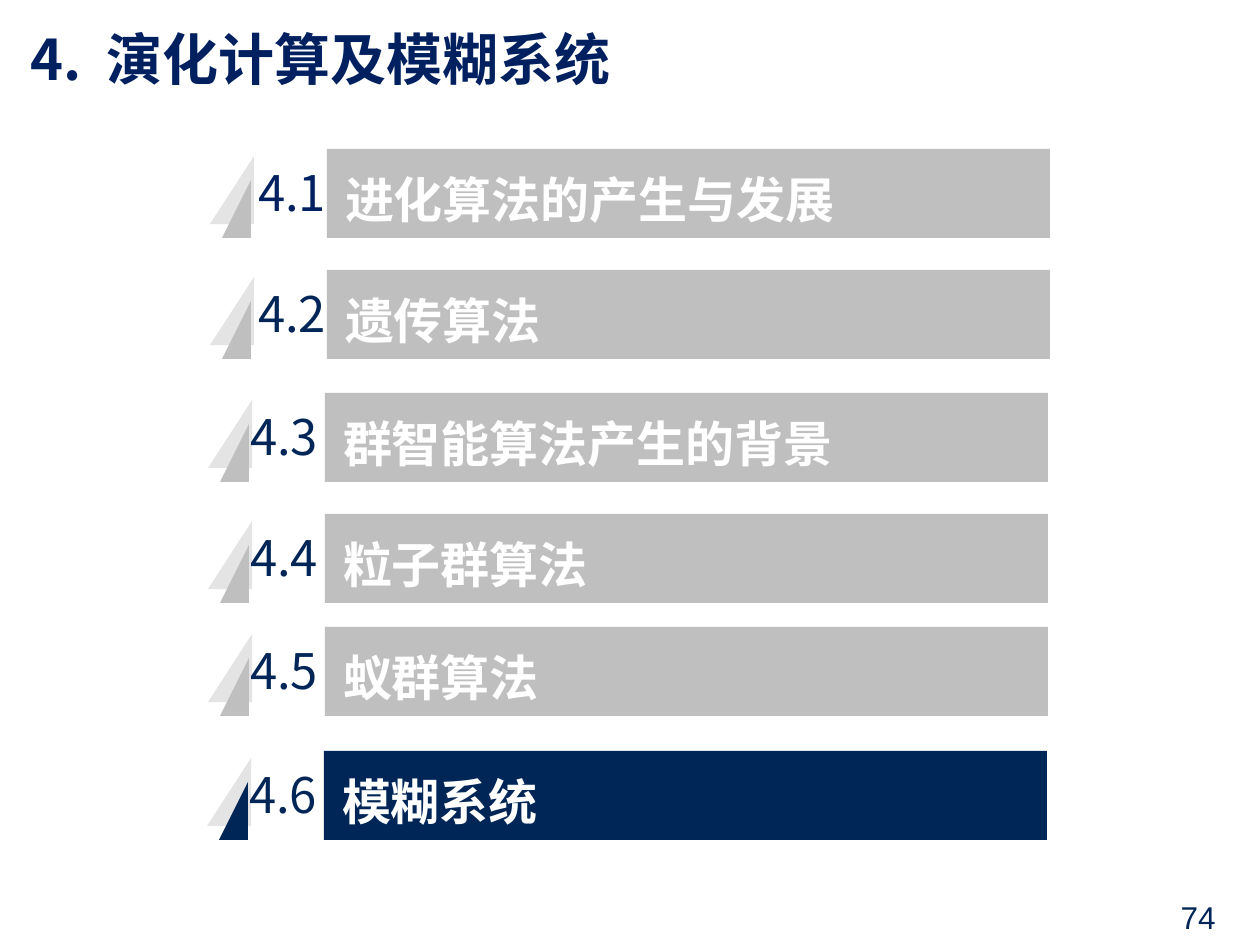
from lxml import etree
from pptx import Presentation
from pptx.dml.color import RGBColor
from pptx.enum import text
from pptx.oxml import ns
from pptx.util import Pt

PX = 914400 / 126
CJK = "Noto Sans CJK SC"
COLORS = {
    "title": "002060",
    "navy": "002657",
    "bar": "BFBFBF",
    "shade": "E4E4E4",
    "white": "FFFFFF",
}
BAR_WIDTH, BAR_HEIGHT = 723, 89

# number, heading, bar left, bar top, number offset, number colour, bar colour
SECTIONS = [
    ("4.1", "进化算法的产生与发展", 327, 149, -76, "title", "bar"),
    ("4.2", "遗传算法", 327, 270, -76, "navy", "bar"),
    ("4.3", "群智能算法产生的背景", 325, 393, -82, "navy", "bar"),
    ("4.4", "粒子群算法", 325, 514, -82, "navy", "bar"),
    ("4.5", "蚁群算法", 325, 627, -82, "navy", "bar"),
    ("4.6", "模糊系统", 324, 751, -82, "navy", "navy"),
]


def px(length):
    return round(length * PX)


def color(name):
    return RGBColor.from_string(COLORS[name])


def place(shape, left, top, width, height):
    shape.left, shape.top = px(left), px(top)
    shape.width, shape.height = px(width), px(height)


def write(text_frame, words, size, color_name, font=CJK, bold=False,
          align=text.PP_ALIGN.LEFT):
    text_frame.text = words
    text_frame.word_wrap = True
    text_frame.auto_size = text.MSO_AUTO_SIZE.NONE
    text_frame.vertical_anchor = text.MSO_ANCHOR.MIDDLE
    paragraph = text_frame.paragraphs[0]
    paragraph.alignment = align
    for run in paragraph.runs:
        run.font.size, run.font.bold, run.font.name = Pt(size), bold, font
        run.font.color.rgb = color(color_name)
        east_asian = etree.SubElement(run.font._element, ns.qn("a:ea"))
        east_asian.set("typeface", font)
    return paragraph


def space_lines(text_frame, left_inset=0):
    """Remove the insets, then set 120% lines and 30% space after."""
    text_frame.margin_left = px(left_inset)
    text_frame.margin_top = text_frame.margin_right = text_frame.margin_bottom = 0
    paragraph = text_frame.paragraphs[0]
    paragraph.line_spacing = 1.2
    after = etree.SubElement(paragraph._p.get_or_add_pPr(), ns.qn("a:spcAft"))
    etree.SubElement(after, ns.qn("a:spcPct")).set("val", "30000")


def add_outline(slide, left, top, contours, fill):
    """Draw closed contours, given relative to left and top, as one shape."""
    contours = [[(left + x, top + y) for x, y in points] for points in contours]
    builder = slide.shapes.build_freeform(*contours[0][0], scale=PX)
    for index, points in enumerate(contours):
        if index:
            builder.move_to(*points[0])
        builder.add_line_segments(points[1:], close=True)
    shape = builder.convert_to_shape()
    shape.shadow.inherit = False
    shape.fill.solid()
    shape.fill.fore_color.rgb = color(fill)
    shape.line.fill.background()
    return shape


def add_title(slide, left, top, width, height):
    title = slide.shapes.title
    place(title, left, top, width, height)
    paragraph = write(title.text_frame, "4.\t演化计算及模糊系统", 32, "title", bold=True)
    # Tab stop between the chapter number and its name
    tabs = etree.SubElement(paragraph._p.get_or_add_pPr(), ns.qn("a:tabLst"))
    etree.SubElement(tabs, ns.qn("a:tab"), pos=str(px(76)), algn="l")


def add_section(slide, number, heading, left, top, number_offset, number_color, fill):
    # Pale triangle behind
    add_outline(slide, left, top, [[(-73, 7), (-73, 75), (-117, 75)]], "shade")

    # Front triangle and heading bar in one outline
    triangle = [(-76, 31), (-76, BAR_HEIGHT), (-105, BAR_HEIGHT)]
    bar = [(0, 0), (BAR_WIDTH, 0), (BAR_WIDTH, BAR_HEIGHT), (0, BAR_HEIGHT)]
    banner = add_outline(slide, left, top, [triangle, bar], fill)
    write(banner.text_frame, heading, 28, "white", bold=True)
    space_lines(banner.text_frame, left_inset=123)

    # Section number
    label = slide.shapes.add_textbox(0, 0, 0, 0)
    place(label, left + number_offset, top, 82, 75)
    write(label.text_frame, number, 28, number_color, align=text.PP_ALIGN.CENTER)
    space_lines(label.text_frame)


def add_page_number(slide, left, top, width, height):
    page = slide.shapes.add_textbox(0, 0, 0, 0)
    place(page, left, top, width, height)
    write(page.text_frame, "74", 18, "navy", font="Arial", align=text.PP_ALIGN.RIGHT)


def main():
    presentation = Presentation()
    presentation.slide_width, presentation.slide_height = px(1260), px(945)
    slide = presentation.slides.add_slide(presentation.slide_layouts[5])
    add_title(slide, 18, 19, 1191, 78)
    for section in SECTIONS:
        add_section(slide, *section)
    add_page_number(slide, 955, 892, 273, 49)
    presentation.save("out.pptx")


if __name__ == "__main__":
    main()
